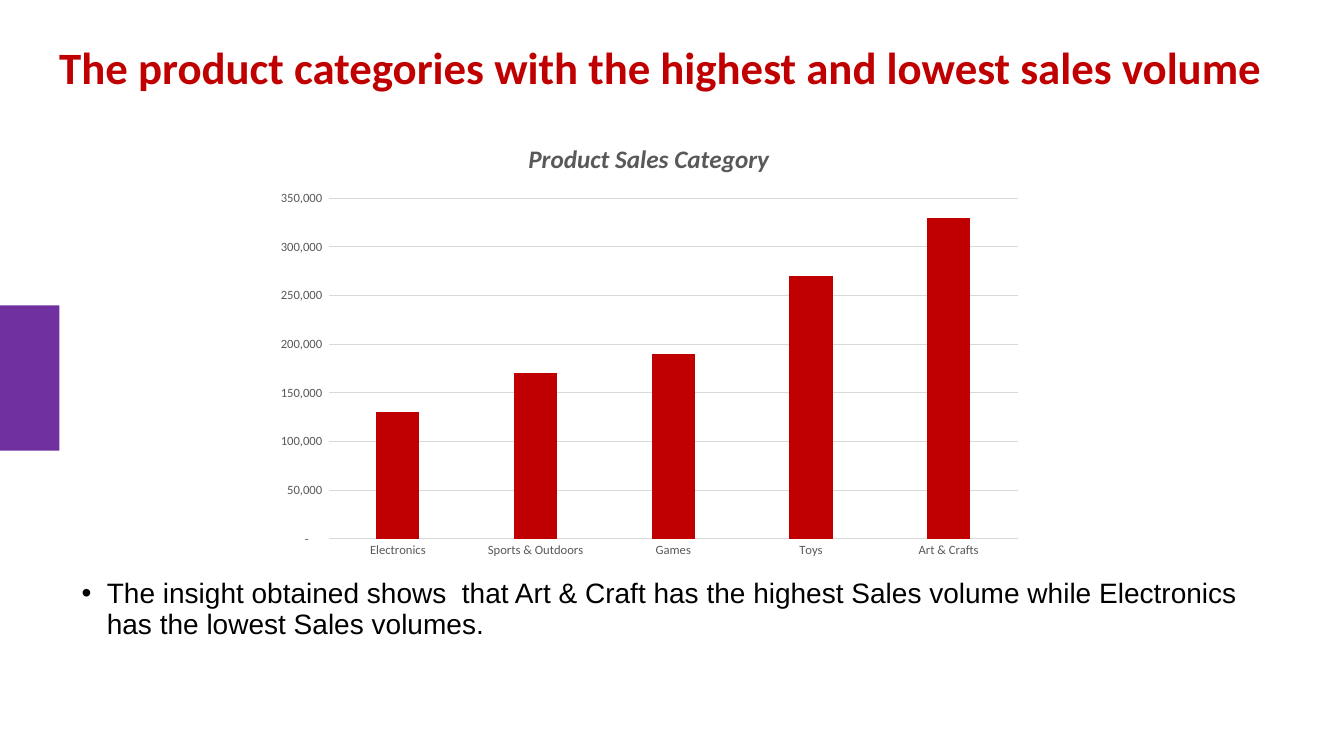
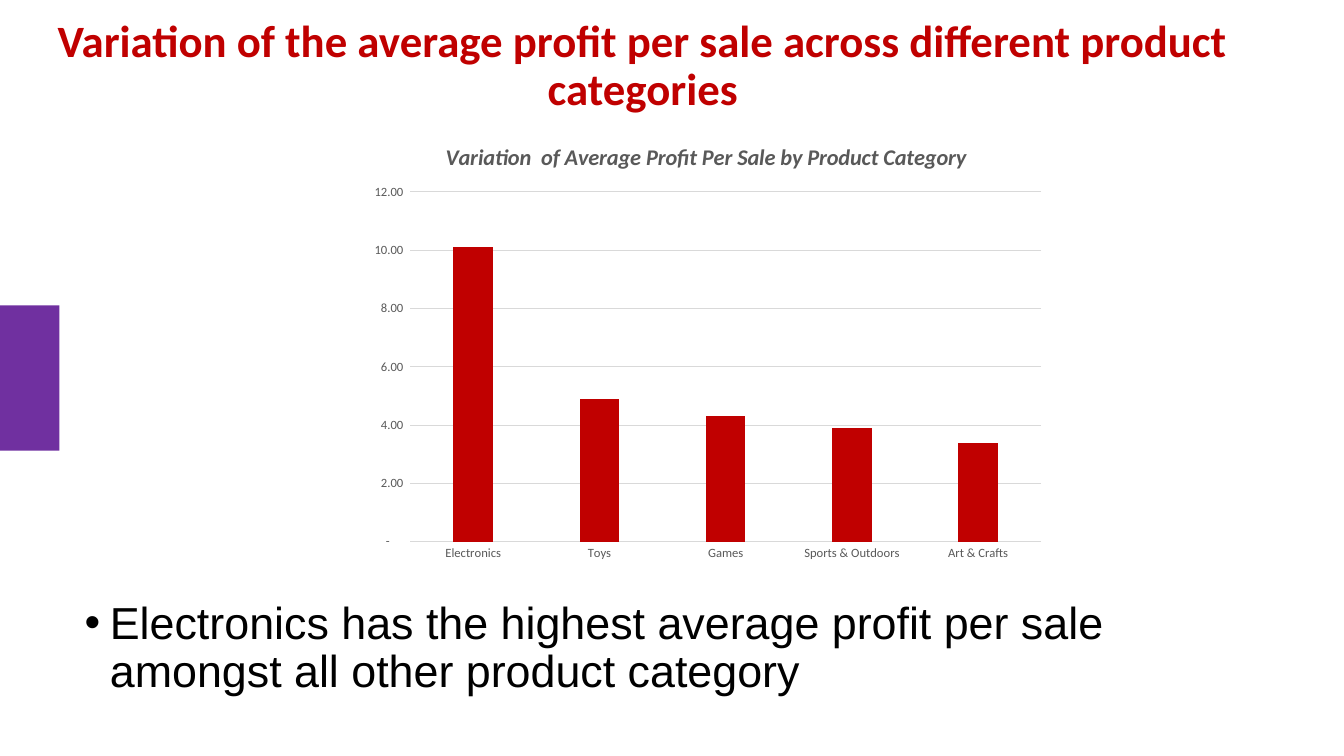
from lxml import etree
from pptx import Presentation
from pptx.chart.data import CategoryChartData
from pptx.dml.color import RGBColor
from pptx.enum.chart import XL_CHART_TYPE as ChartType, XL_TICK_MARK as Tick
from pptx.enum.shapes import MSO_SHAPE as Shape
from pptx.enum.text import MSO_ANCHOR as Anchor, PP_ALIGN as Align
from pptx.oxml import parse_xml
from pptx.oxml.ns import nsdecls, qn
from pptx.util import Inches, Pt

COLORS = {"red": "C00000", "purple": "7030A0", "black": "000000",
          "grey": "595959", "grid": "D9D9D9"}
COLORS = {name: RGBColor.from_string(code) for name, code in COLORS.items()}

# Boxes are left, top, width, height in inches; layouts are chart fractions
SLIDES = [
    {
        "title": "The product categories with the highest and lowest sales volume",
        "title_box": (0.2, 0.4, 12.71, 0.58),
        "insight": "The insight obtained shows  that Art & Craft has the highest "
                   "Sales volume while Electronics has the lowest Sales volumes.",
        "insight_box": (0.81, 5.75, 11.5, 0.67),
        "insight_size": 20,
        "chart_title": "Product Sales Category",
        "chart_title_size": 18,
        "chart_title_at": {"x": 0.34, "y": 0.03},
        "chart_box": (2.6, 1.22, 7.63, 4.39),
        "plot_at": {"x": 0.087, "y": 0.17, "w": 0.895, "h": 0.77},
        "sales": {"Electronics": 130000, "Sports & Outdoors": 170000,
                  "Games": 190000, "Toys": 270000, "Art & Crafts": 330000},
        "axis_max": 350000,
        "axis_step": 50000,
        "axis_format": r'_-* #,##0_-;\-* #,##0_-;_-* "-"??_-;_-@_-',
    },
    {
        "title": "Variation of the average profit per sale across different "
                 "product categories",
        "title_box": (0.22, 0.17, 12.31, 0.99),
        "insight": "Electronics has the highest average profit per sale amongst "
                   "all other product category",
        "insight_box": (0.84, 5.96, 11.5, 1.35),
        "insight_size": 32,
        "chart_title": "Variation  of Average Profit Per Sale by Product Category",
        "chart_title_size": 16,
        "chart_title_at": {"x": 0.12, "y": 0.03},
        "chart_box": (3.55, 1.23, 6.91, 4.41),
        "plot_at": {"x": 0.075, "y": 0.153, "w": 0.906, "h": 0.787},
        "sales": {"Electronics": 10.1, "Toys": 4.9, "Games": 4.3,
                  "Sports & Outdoors": 3.9, "Art & Crafts": 3.4},
        "axis_max": 12,
        "axis_step": 2,
        "axis_format": r'_(* #,##0.00_);_(* \(#,##0.00\);_(* "-"??_);_(@_)',
    },
]


def add_text(slide, box, text, size, font, color):
    """Add a text box without margins and return its frame and paragraph."""
    frame = slide.shapes.add_textbox(*map(Inches, box)).text_frame
    frame.word_wrap = True
    frame.margin_left = frame.margin_right = 0
    frame.margin_top = frame.margin_bottom = 0
    paragraph = frame.paragraphs[0]
    paragraph.text = text
    paragraph.line_spacing = 0.9
    paragraph.font.size = Pt(size)
    paragraph.font.name = font
    paragraph.font.color.rgb = COLORS[color]
    return frame, paragraph


def set_layout(element, place, inner=False):
    """Put a chart title or plot area at a fixed place in its chart."""
    for old in element.findall(qn("c:layout")):
        element.remove(old)
    layout = parse_xml(f"<c:layout {nsdecls('c')}><c:manualLayout/></c:layout>")
    settings = {"layoutTarget": "inner"} if inner else {}
    settings.update(xMode="edge", yMode="edge", **place)
    for tag, value in settings.items():
        etree.SubElement(layout[0], qn(f"c:{tag}")).set("val", str(value))
    text = element.find(qn("c:tx"))
    element.insert(0 if text is None else 1, layout)


prs = Presentation()
prs.slide_width, prs.slide_height = Inches(13.33), Inches(7.5)

for content in SLIDES:
    slide = prs.slides.add_slide(prs.slide_layouts[6])

    # Side band
    band = slide.shapes.add_shape(Shape.RECTANGLE, 0, Inches(3.03),
                                  Inches(0.59), Inches(1.44))
    band.shadow.inherit = False
    band.fill.solid()
    band.fill.fore_color.rgb = COLORS["purple"]
    band.line.fill.background()

    # Title
    frame, title = add_text(slide, content["title_box"], content["title"],
                            32, "Calibri", "red")
    frame.vertical_anchor = Anchor.MIDDLE
    title.alignment = Align.CENTER
    title.font.bold = True

    # Insight bullet
    frame, insight = add_text(slide, content["insight_box"], content["insight"],
                              content["insight_size"], "Arial", "black")
    props = insight._p.get_or_add_pPr()
    props.set("marL", str(Inches(0.25)))
    props.set("indent", str(-Inches(0.25)))
    for bullet in ('buFont {} typeface="Arial"', 'buChar {} char="•"'):
        props.insert_element_before(
            parse_xml(f"<a:{bullet.format(nsdecls('a'))}/>"),
            "a:tabLst", "a:defRPr", "a:extLst")

    # Column chart
    data = CategoryChartData()
    data.categories = list(content["sales"])
    data.add_series("Series 1", list(content["sales"].values()))
    chart = slide.shapes.add_chart(ChartType.COLUMN_CLUSTERED,
                                   *map(Inches, content["chart_box"]), data).chart
    chart.has_legend = False
    chart.font.name = "Calibri"
    chart.font.size = Pt(10)
    chart.font.color.rgb = COLORS["black"]

    heading = chart.chart_title.text_frame.paragraphs[0]
    heading.text = content["chart_title"]
    heading.font.name = "Calibri"
    heading.font.size = Pt(content["chart_title_size"])
    heading.font.bold = heading.font.italic = True
    heading.font.color.rgb = COLORS["grey"]
    chart.chart_title.include_in_layout = False
    set_layout(chart.chart_title._element, content["chart_title_at"])

    columns = chart.plots[0]
    columns.gap_width, columns.overlap = 219, -27
    columns.vary_by_categories = False
    columns.series[0].format.fill.solid()
    columns.series[0].format.fill.fore_color.rgb = COLORS["red"]
    set_layout(chart._chartSpace.chart.plotArea, content["plot_at"], inner=True)

    # Axes
    categories, values = chart.category_axis, chart.value_axis
    for axis in (categories, values):
        axis.major_tick_mark = axis.minor_tick_mark = Tick.NONE
        axis.tick_labels.font.name = "Calibri"
        axis.tick_labels.font.size = Pt(9)
        axis.tick_labels.font.color.rgb = COLORS["grey"]
    values.minimum_scale, values.maximum_scale = 0, content["axis_max"]
    values.major_unit = content["axis_step"]
    values.tick_labels.number_format = content["axis_format"]
    values.tick_labels.number_format_is_linked = False
    values.format.line.fill.background()
    for line in (categories.format.line, values.major_gridlines.format.line):
        line.color.rgb = COLORS["grid"]
        line.width = Pt(0.75)

prs.save("out.pptx")
